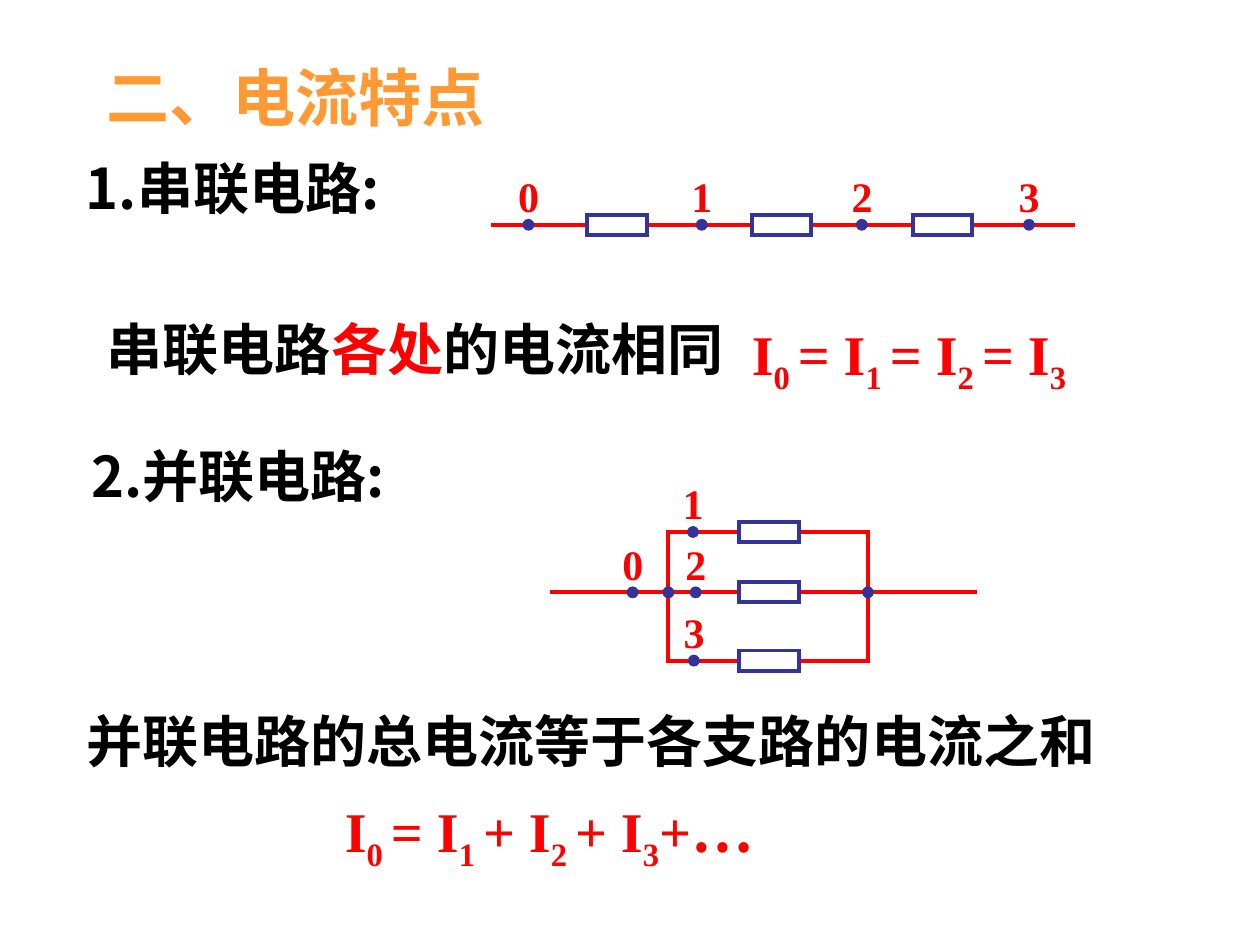
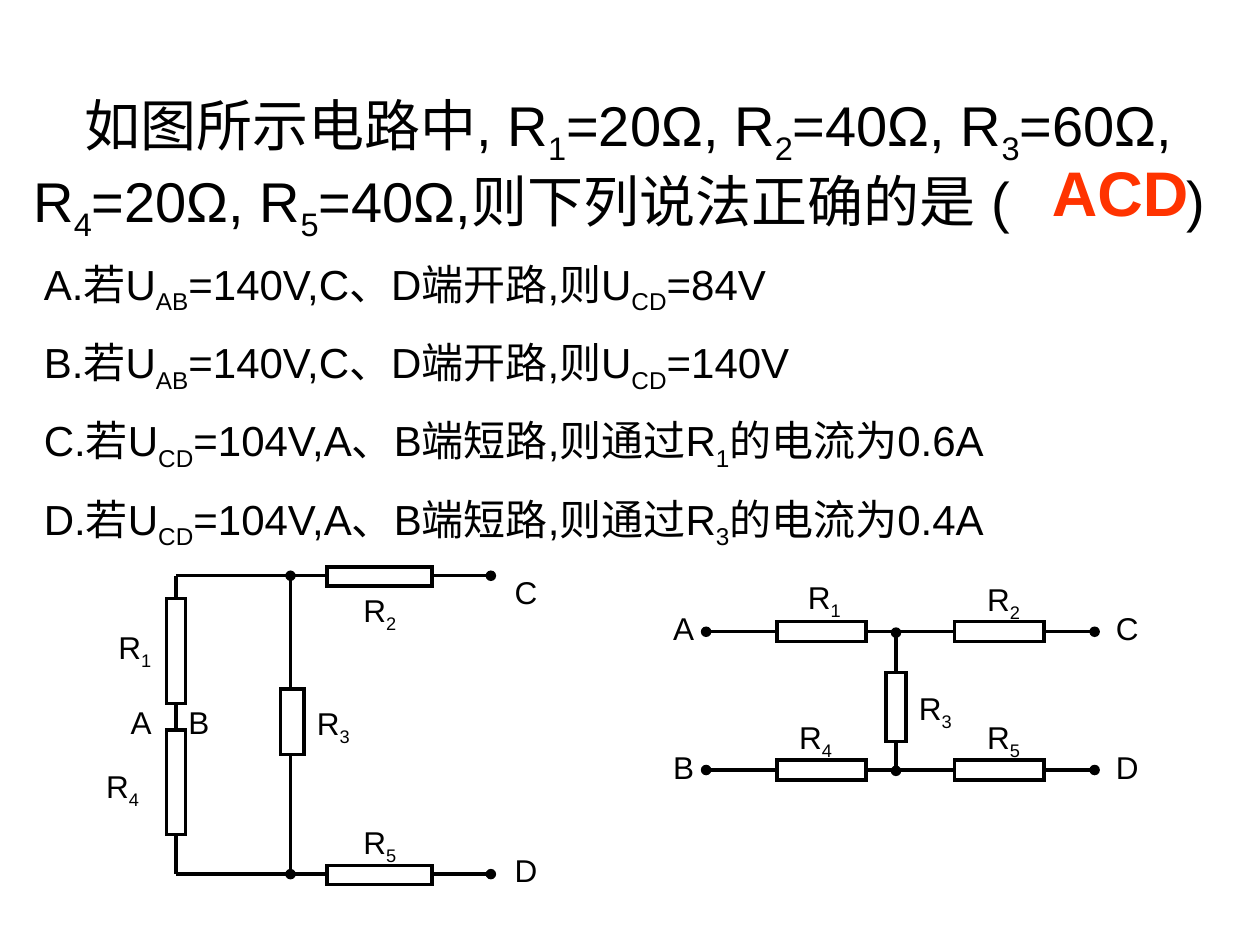
from dataclasses import dataclass

from lxml import etree
from pptx import Presentation
from pptx.dml.color import RGBColor
from pptx.enum import shapes, text
from pptx.oxml import ns
from pptx.util import Pt


@dataclass(frozen=True)
class Theme:
    """Colours, typefaces, type sizes and line widths of the lesson."""
    ink: str = "000000"
    paper: str = "FFFFFF"
    red: str = "FF0000"
    answer: str = "FF3300"
    orange: str = "FF9933"
    blue: str = "333399"
    chinese: str = "Noto Sans CJK SC"
    serif: str = "Times New Roman"
    sans: str = "Arial"
    title: float = 36
    body: float = 32
    detail: float = 24
    tag: float = 18
    thick: float = 2.25
    medium: float = 2
    thin: float = 0.75


T = Theme()


def rgb(colour):
    """Turn a theme colour into an RGBColor."""
    return RGBColor.from_string(colour)


def set_typeface(font, name):
    """Use one typeface for Latin and East Asian letters."""
    font.name = name
    etree.SubElement(font._rPr, ns.qn("a:ea"), typeface=name)


def lower(font):
    """Make a run a subscript."""
    font._rPr.set("baseline", "-25000")


def stress(font):
    """Make a run red."""
    font.color.rgb = rgb(T.red)


def write(slide, box, lines, size, face, colour=T.ink, bold=False,
          wrap=True, gap=0, indent=0, mark=lower):
    """Add text whose parts between tildes get the mark style."""
    frame = slide.shapes.add_textbox(*map(Pt, box)).text_frame
    frame.word_wrap = wrap
    frame.auto_size = text.MSO_AUTO_SIZE.SHAPE_TO_FIT_TEXT
    for row, line in enumerate(lines):
        paragraph = frame.add_paragraph() if row else frame.paragraphs[0]
        if row and gap:
            paragraph.space_before = Pt(gap)
        if indent:
            paragraph._p.get_or_add_pPr().set("indent", str(Pt(indent)))
        font = paragraph.font
        font.size, font.bold = Pt(size), bold
        font.color.rgb = rgb(colour)
        set_typeface(font, face)
        for part, words in enumerate(line.split("~")):
            if words:
                run = paragraph.add_run()
                run.text = words
                if part % 2:
                    mark(run.font)
    return frame


def centred(slide, kind, x, y, size, fill, line, weight):
    """Add a sharp-cornered preset shape around a centre point."""
    width, height = size
    shape = slide.shapes.add_shape(
        kind, Pt(x - width / 2), Pt(y - height / 2), Pt(width), Pt(height))
    shape.shadow.inherit = False
    if fill:
        shape.fill.solid()
        shape.fill.fore_color.rgb = rgb(fill)
    else:
        shape.fill.background()
    shape.line.color.rgb = rgb(line)
    shape.line.width = Pt(weight)
    etree.SubElement(shape.line._get_or_add_ln(), ns.qn("a:miter"), lim="800000")


def resistor(slide, x, y, size=(34, 11.5), line=T.blue, weight=T.thick):
    """Add a resistor around a centre point."""
    centred(slide, shapes.MSO_SHAPE.RECTANGLE, x, y, size, T.paper, line, weight)


def node(slide, x, y, number=None):
    """Add a junction dot, with its number above it."""
    centred(slide, shapes.MSO_SHAPE.OVAL, x, y, (6, 6), T.blue, T.blue, T.thin)
    if number is not None:
        write(slide, (x - 13, y - 34.5, 51, 36), [str(number)],
              T.detail, T.serif, T.red, True)


def wire(slide, start, end, colour=T.ink, weight=T.medium, dots=()):
    """Add a straight wire with round terminals where asked."""
    line = slide.shapes.add_connector(
        shapes.MSO_CONNECTOR.STRAIGHT, *map(Pt, (*start, *end)))
    line.line.color.rgb = rgb(colour)
    line.line.width = Pt(weight)
    for tag in dots:
        etree.SubElement(line.line._get_or_add_ln(), ns.qn(f"a:{tag}"), type="oval")
    etree.SubElement(line._element.spPr, ns.qn("a:effectLst"))


def tags(slide, left, top, places):
    """Add the letters beside a circuit's parts."""
    for name, x, y in places:
        write(slide, (left + x, top + y, 34 if "~" in name else 27, 29),
              [name], T.tag, T.sans, wrap=False)


def series_circuit(slide, left, top):
    """Draw three resistors in a row with numbered points."""
    middle = top + 34
    wire(slide, (left, middle), (left + 334, middle), T.red, T.thick)
    for x in (72, 166, 258):
        resistor(slide, left + x, middle)
    for number, x in enumerate((21.5, 120.5, 212, 307.5)):
        node(slide, left + x, middle, number)


def parallel_circuit(slide, left, top):
    """Draw three parallel branches with numbered points."""
    upper, middle, lowest = top + 34, top + 68.5, top + 107.5
    entry, leave = left + 67.5, left + 181.5
    wire(slide, (left, middle), (left + 244, middle), T.red, T.thick)
    centred(slide, shapes.MSO_SHAPE.RECTANGLE, (entry + leave) / 2,
            (upper + lowest) / 2, (leave - entry, lowest - upper),
            None, T.red, T.thick)
    for y in (upper, middle, lowest):
        resistor(slide, left + 125, y)
    for x in (entry, leave):
        node(slide, x, middle)
    points = ((47, middle), (81.5, upper), (83, middle), (82, lowest))
    for number, (x, y) in enumerate(points):
        node(slide, left + x, y, number)


def ladder_circuit(slide, left, top):
    """Draw the circuit with R1 and R4 stacked on the left."""
    right, bottom, rung = left + 180, top + 170.5, left + 65.5
    for y in (top, bottom):
        wire(slide, (left, y), (right, y), dots=["tailEnd"])
    wire(slide, (rung, top), (rung, bottom), dots=["headEnd", "tailEnd"])
    wire(slide, (left, top), (left, bottom))
    for x, y, size in ((116.5, 0.5, (60, 10.8)), (116.5, 171, (60, 10.8)),
                       (66.5, 83.5, (13.7, 37.5)),
                       (0, 43, (10.8, 60)), (0, 118, (10.8, 60))):
        resistor(slide, left + x, top + y, size, T.ink, T.medium)
    tags(slide, left, top, (
        ("R~1~", -40, 26.5), ("R~4~", -47, 106), ("R~3~", 73.5, 70),
        ("R~2~", 100, 5), ("R~5~", 100, 138), ("A", -33, 69), ("B", 0, 69),
        ("C", 186.5, -5), ("D", 186.5, 154)))


def bridge_circuit(slide, left, top):
    """Draw the circuit with R3 between two horizontal rails."""
    ends = ["headEnd", "tailEnd"]
    bottom, middle = top + 79, left + 108.5
    for y in (top, bottom):
        wire(slide, (left, y), (left + 222, y), dots=ends)
    wire(slide, (middle, top + 0.5), (middle, bottom + 0.5), dots=ends)
    for y in (top, bottom):
        for x in (66, 167.5):
            resistor(slide, left + x, y, (51, 11.5), T.ink, T.medium)
    resistor(slide, middle, top + 43, (11.5, 39.5), T.ink, T.medium)
    tags(slide, left, top, (
        ("R~1~", 51, -34), ("R~4~", 46, 46), ("R~3~", 114.5, 29),
        ("R~2~", 153.5, -33), ("R~5~", 153.5, 46),
        ("A", -26, -16.5), ("B", -26, 63), ("C", 227, -16.5), ("D", 227, 63)))


def question(slide, left, top):
    """Write the question with its answer between the brackets."""
    write(slide, (left, top, 692, 84),
          ["如图所示电路中, R~1~=20Ω, R~2~=40Ω, R~3~=60Ω, "
           "R~4~=20Ω, R~5~=40Ω,则下列说法正确的是 ("],
          T.body, T.sans, indent=29)
    write(slide, (left + 582, top + 36, 100, 50), ["ACD"],
          T.title, T.sans, T.answer, True)
    write(slide, (left + 659, top + 43, 30, 44), [")"], T.body, T.sans)


def current_slide(slide):
    """Build the slide on current in series and parallel circuits."""
    write(slide, (54, 30, 284, 50), ["二、电流特点"],
          T.title, T.chinese, T.orange, True)
    for box, line in (
            ((42, 84, 210, 45), "1.串联电路:"),
            ((54, 176, 369, 45), "串联电路~各处~的电流相同"),
            ((45, 248.5, 205, 45), "2.并联电路:"),
            ((42.5, 400, 635, 45), "并联电路的总电流等于各支路的电流之和")):
        write(slide, box, [line], T.body, T.chinese, bold=True, mark=stress)
    write(slide, (422.5, 179, 215, 45), ["I~0 ~= I~1 ~= I~2 ~= I~3~"],
          T.body, T.serif, T.red, True)
    total = write(slide, (190, 451.5, 255, 45), ["I~0 ~= I~1 ~+ I~2 ~+ I~3~+"],
                  T.body, T.serif, T.red, True)
    ellipsis = total.paragraphs[0].add_run()
    ellipsis.text = "…"
    set_typeface(ellipsis.font, T.chinese)
    series_circuit(slide, 280.5, 94.5)
    parallel_circuit(slide, 314.5, 270)


def exercise_slide(slide):
    """Build the multiple-choice slide with its two circuits."""
    question(slide, 12, 48)
    write(slide, (18, 144, 680, 166), [
        "A.若U~AB~=140V,C、D端开路,则U~CD~=84V",
        "B.若U~AB~=140V,C、D端开路,则U~CD~=140V",
        "C.若U~CD~=104V,A、B端短路,则通过R~1~的电流为0.6A",
        "D.若U~CD~=104V,A、B端短路,则通过R~3~的电流为0.4A"],
        T.detail, T.sans, gap=12)
    ladder_circuit(slide, 100.5, 329)
    bridge_circuit(slide, 403.5, 361)


def main():
    """Build and save the two slides."""
    deck = Presentation()
    deck.slide_width, deck.slide_height = Pt(720), Pt(540)
    for build in (current_slide, exercise_slide):
        build(deck.slides.add_slide(deck.slide_layouts[6]))
    deck.save("out.pptx")


if __name__ == "__main__":
    main()
